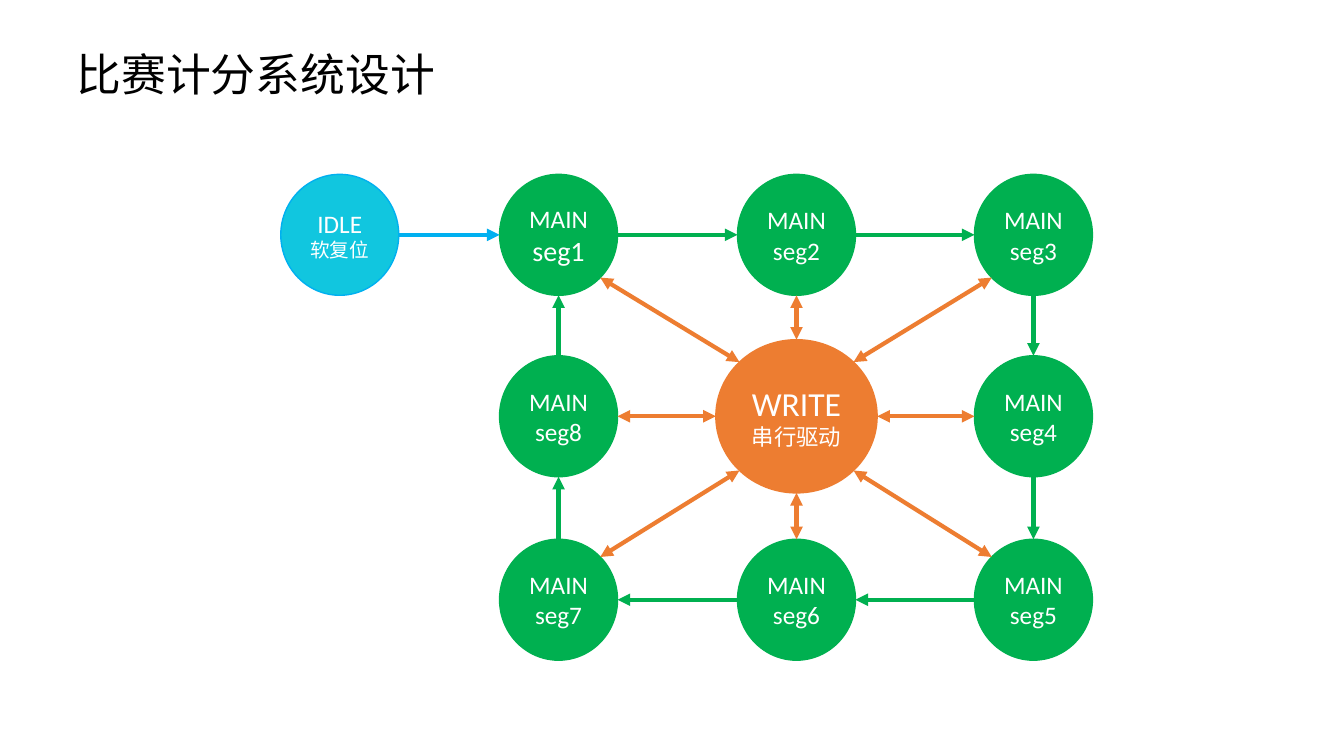
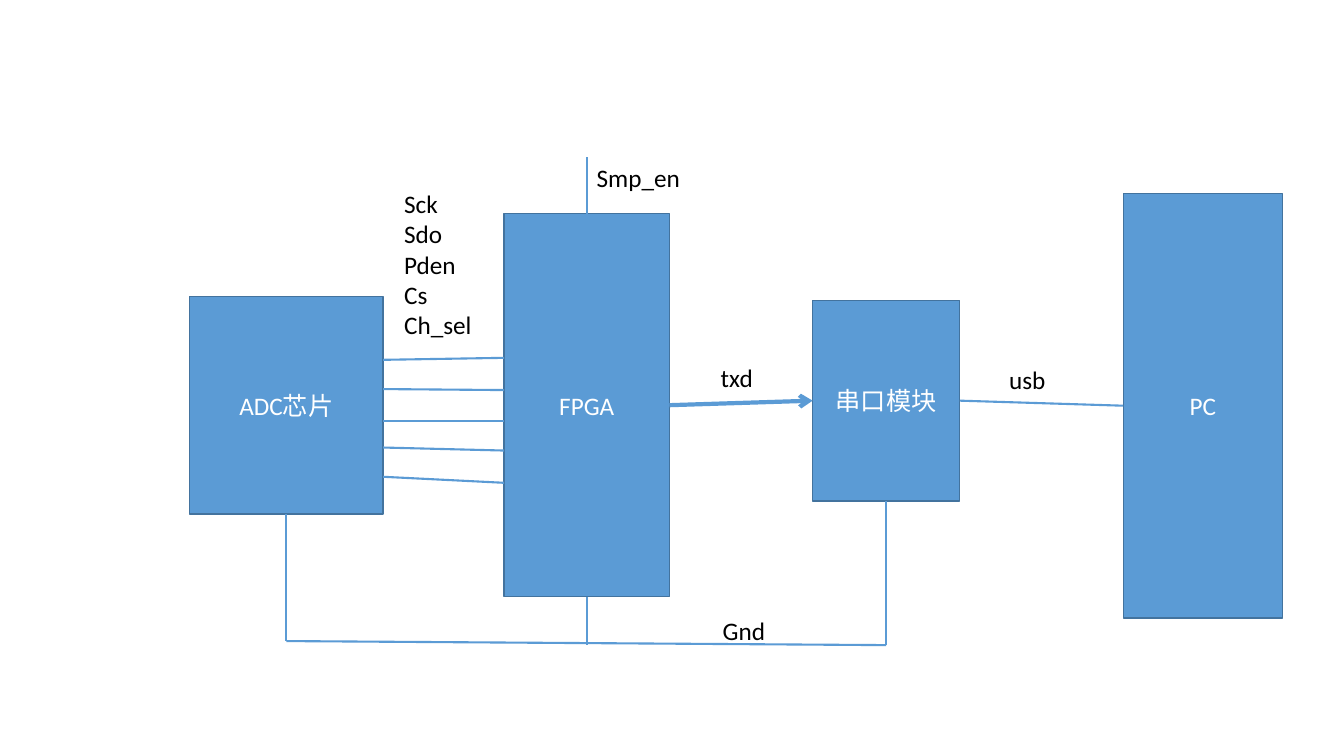
import math
from dataclasses import dataclass

import pptx
import pptx.dml.color
import pptx.enum.shapes
import pptx.enum.text
import pptx.oxml
import pptx.oxml.ns
import pptx.util

Inches = pptx.util.Inches
SHAPES = pptx.enum.shapes.MSO_SHAPE
ALIGN = pptx.enum.text.PP_ALIGN
ANCHOR = pptx.enum.text.MSO_ANCHOR
TOP, LEFT, BOTTOM, RIGHT = range(4)


@dataclass(frozen=True)
class Theme:
    font: str = "Calibri"
    ink: str = "000000"
    paper: str = "FFFFFF"
    segment: str = "00B050"
    driver: str = "ED7D31"
    idle: str = "11C6DF"
    idle_edge: str = "00B0F0"
    block: str = "5B9BD5"
    block_edge: str = "43739E"
    title_size: int = 32
    driver_size: int = 24
    first_segment_size: int = 20
    body_size: int = 18
    driver_note_size: int = 16
    idle_note_size: int = 14
    outline: float = 1
    wire: float = 1.5
    arrow: float = 3


@dataclass(frozen=True)
class State:
    x: float
    y: float
    width: float = 1.17
    height: float = 1.2

    def edge(self, dx, dy):
        reach = 0.5 / math.hypot(dx, dy)
        return self.x + dx * reach * self.width, self.y + dy * reach * self.height


@dataclass(frozen=True)
class Port:
    block: object
    side: int


THEME = Theme()


def rgb(value):
    return pptx.dml.color.RGBColor.from_string(value)


def set_text(frame, lines, sizes=(THEME.body_size,), color=THEME.ink,
             align=ALIGN.LEFT, anchor=ANCHOR.TOP, wrap=False):
    frame.word_wrap = wrap
    frame.vertical_anchor = anchor
    for index, line in enumerate(lines):
        paragraph = frame.paragraphs[0] if index == 0 else frame.add_paragraph()
        paragraph.alignment = align
        run = paragraph.add_run()
        run.text = line
        run.font.name = THEME.font
        run.font.size = pptx.util.Pt(sizes[min(index, len(sizes) - 1)])
        run.font.color.rgb = rgb(color)


def add_label(slide, box, *lines, **text_format):
    frame = slide.shapes.add_textbox(*map(Inches, box)).text_frame
    set_text(frame, lines, **text_format)
    frame.auto_size = pptx.enum.text.MSO_AUTO_SIZE.SHAPE_TO_FIT_TEXT


def add_panel(slide, outline, box, lines, fill, edge, **text_format):
    panel = slide.shapes.add_shape(outline, *map(Inches, box))
    panel.shadow.inherit = False
    panel.fill.solid()
    panel.fill.fore_color.rgb = rgb(fill)
    panel.line.color.rgb = rgb(edge)
    panel.line.width = pptx.util.Pt(THEME.outline)
    set_text(panel.text_frame, lines, color=THEME.paper, align=ALIGN.CENTER,
             anchor=ANCHOR.MIDDLE, wrap=True, **text_format)
    return panel


def add_state(slide, state, lines, fill, edge=None, **text_format):
    box = (state.x - state.width / 2, state.y - state.height / 2,
           state.width, state.height)
    add_panel(slide, SHAPES.FLOWCHART_CONNECTOR, box, lines, fill, edge or fill,
              **text_format)


def add_block(slide, box, name):
    return add_panel(slide, SHAPES.RECTANGLE, box, [name],
                     THEME.block, THEME.block_edge)


def add_link(slide, start, end, color=THEME.block, width=THEME.wire,
             head=None, tail=None):
    points = [(0, 0) if isinstance(stop, Port) else stop for stop in (start, end)]
    link = slide.shapes.add_connector(
        pptx.enum.shapes.MSO_CONNECTOR.STRAIGHT,
        *(Inches(value) for point in points for value in point))
    for stop, join in ((start, link.begin_connect), (end, link.end_connect)):
        if isinstance(stop, Port):
            join(stop.block, stop.side)
    link.line.color.rgb = rgb(color)
    link.line.width = pptx.util.Pt(width)
    properties = link._element.spPr
    stroke = properties.find(pptx.oxml.ns.qn("a:ln"))
    for tag, kind in (("headEnd", head), ("tailEnd", tail)):
        if kind:
            stroke.append(pptx.oxml.parse_xml(
                f'<a:{tag} {pptx.oxml.ns.nsdecls("a")} type="{kind}"/>'))
    properties.append(pptx.oxml.parse_xml(
        f'<a:effectLst {pptx.oxml.ns.nsdecls("a")}/>'))


def link_states(slide, start, end, step, color, head=None):
    dx, dy = step
    add_link(slide, start.edge(dx, dy), end.edge(-dx, -dy), color,
             THEME.arrow, head, "triangle")


def build_state_machine(slide):
    columns = (5.54, 7.9, 10.25)
    rows = (2.33, 4.13, 5.95)
    clockwise = [(-1, -1), (0, -1), (1, -1), (1, 0),
                 (1, 1), (0, 1), (-1, 1), (-1, 0)]
    segments = [State(columns[dx + 1], rows[dy + 1]) for dx, dy in clockwise]
    driver = State(columns[1], rows[1], 1.6, 1.52)
    idle = State(3.37, rows[0])

    for number, segment in enumerate(segments, 1):
        number_size = THEME.first_segment_size if number == 1 else THEME.body_size
        add_state(slide, segment, ["MAIN", f"seg{number}"], THEME.segment,
                  sizes=(THEME.body_size, number_size))
    add_state(slide, driver, ["WRITE", "串行驱动"], THEME.driver,
              sizes=(THEME.driver_size, THEME.driver_note_size))
    add_state(slide, idle, ["IDLE", "软复位"], THEME.idle, THEME.idle_edge,
              sizes=(THEME.body_size, THEME.idle_note_size))

    for index, (segment, place) in enumerate(zip(segments, clockwise)):
        link_states(slide, driver, segment, place, THEME.driver, "triangle")
        following = (index + 1) % len(segments)
        step = [after - before for before, after in zip(place, clockwise[following])]
        link_states(slide, segment, segments[following], step, THEME.segment)
    link_states(slide, idle, segments[0], (1, 0), THEME.idle_edge)
    add_label(slide, (0.66, 0.41, 3.79, 0.64), "比赛计分系统设计",
              sizes=(THEME.title_size,))


def build_wiring(slide):
    fpga = add_block(slide, (5, 2.12, 1.64, 3.8), "FPGA")
    adc = add_block(slide, (1.88, 2.94, 1.92, 2.16), "ADC芯片")
    serial = add_block(slide, (8.06, 2.98, 1.46, 1.99), "串口模块")
    pc = add_block(slide, (11.14, 1.92, 1.58, 4.21), "PC")

    signal_heights = [(3.57, 3.55), (3.86, 3.87), (4.18, 4.18),
                      (4.44, 4.47), (4.73, 4.79)]
    for adc_y, fpga_y in signal_heights:
        add_link(slide, (3.8, adc_y), (5, fpga_y))

    ground_start, ground_end = (2.84, 6.36), (8.79, 6.4)
    add_link(slide, Port(adc, BOTTOM), ground_start)
    add_link(slide, Port(fpga, BOTTOM), (5.82, 6.4))
    add_link(slide, Port(serial, BOTTOM), ground_end)
    add_link(slide, ground_start, ground_end)
    add_link(slide, (5.82, 1.56), Port(fpga, TOP))
    add_link(slide, Port(serial, RIGHT), Port(pc, LEFT))
    add_link(slide, Port(fpga, RIGHT), Port(serial, LEFT),
             width=THEME.arrow, tail="arrow")

    add_label(slide, (3.91, 1.82, 0.88, 1.62), "Sck", "Sdo", "Pden", "Cs", "Ch_sel")
    add_label(slide, (5.82, 1.56, 1.04, 0.4), "Smp_en")
    add_label(slide, (7.05, 3.55, 0.52, 0.4), "txd")
    add_label(slide, (9.91, 3.57, 0.57, 0.4), "usb")
    add_label(slide, (7.07, 6.06, 0.63, 0.4), "Gnd")


def main():
    deck = pptx.Presentation()
    deck.slide_width, deck.slide_height = Inches(13.33), Inches(7.5)
    for build in (build_state_machine, build_wiring):
        build(deck.slides.add_slide(deck.slide_layouts[6]))
    deck.save("out.pptx")


if __name__ == "__main__":
    main()
